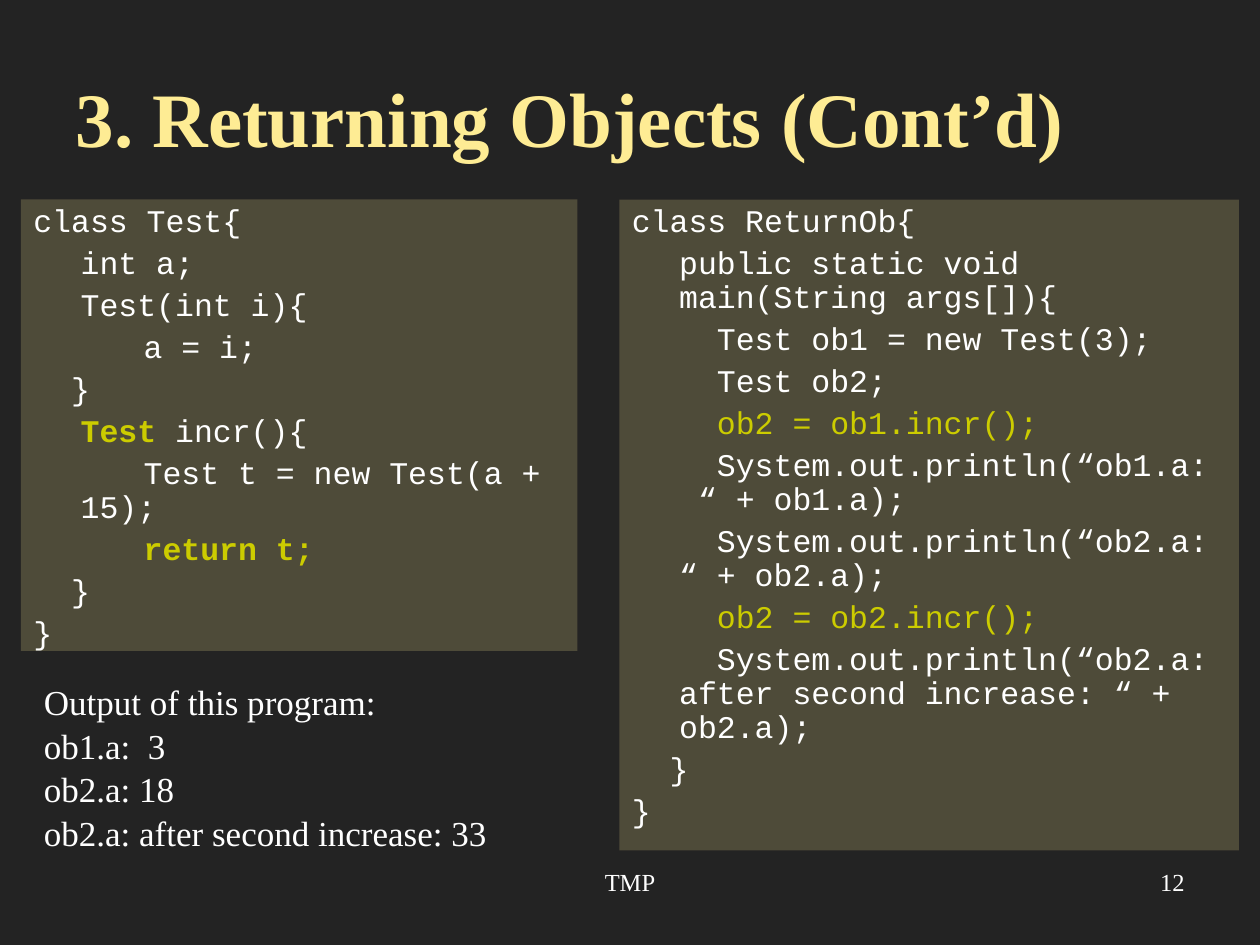
from lxml import etree
from pptx import Presentation
from pptx import util as u
from pptx.dml.color import RGBColor
from pptx.enum import shapes, text
from pptx.oxml import ns

Pt = u.Pt
BACKGROUND, CREAM, WHITE, HIGHLIGHT = "232323", "FEEC94", "FFFFFF", "CCCC00"
SERIF, MONO = "Times New Roman", "Courier New"

# In each code line, the part between bars is highlighted
TEST_CLASS = [
    "class Test{",
    "\tint a;",
    "\tTest(int i){",
    "\t\ta = i;",
    "  }",
    "\t|Test| incr(){",
    "\t\tTest t = new Test(a + 15);",
    "\t\t|return t;|",
    "  }",
    "}",
]
RETURN_CLASS = [
    "class ReturnOb{",
    "\tpublic static void main(String args[]){",
    "\t  Test ob1 = new Test(3);",
    "\t  Test ob2;",
    "\t  |ob2 = ob1.incr();|",
    "\t  System.out.println(“ob1.a:  “ + ob1.a);",
    "\t  System.out.println(“ob2.a: “ + ob2.a);",
    "\t  |ob2 = ob2.incr();|",
    "\t  System.out.println(“ob2.a: after second increase: “ + ob2.a);",
    "  }",
    "}",
]
OUTPUT = [
    "Output of this program:",
    "ob1.a:  3",
    "ob2.a: 18",
    "ob2.a: after second increase: 33",
]


def color(value):
    return RGBColor.from_string(value)


def add_text(paragraph, words, font=SERIF, size=18, fill=WHITE, bold=False,
             align=text.PP_ALIGN.LEFT):
    paragraph.alignment = align
    run = paragraph.add_run()
    run.text = words
    run.font.name = font
    run.font.size = Pt(size)
    run.font.bold = bold
    run.font.color.rgb = color(fill)


def paragraphs(frame, lines):
    """Yield one paragraph of the frame for each line, with the line."""
    for index, line in enumerate(lines):
        yield (frame.add_paragraph() if index else frame.paragraphs[0]), line


def set_tabs(paragraph, indent):
    """Hanging indent with a tab stop at every inch."""
    properties = paragraph._p.get_or_add_pPr()
    properties.set("marL", str(Pt(indent)))
    properties.set("indent", str(-Pt(indent)))
    tabs = etree.SubElement(properties, ns.qn("a:tabLst"))
    for stop in range(8):
        etree.SubElement(tabs, ns.qn("a:tab"), pos=str(Pt(72 * stop)), algn="l")


def add_title(slide, box, words):
    title = slide.shapes.title
    title.left, title.top, title.width, title.height = map(Pt, box)
    frame = title.text_frame
    frame.auto_size = text.MSO_AUTO_SIZE.NONE
    frame.vertical_anchor = text.MSO_ANCHOR.MIDDLE
    add_text(frame.paragraphs[0], words, size=44, fill=CREAM, bold=True)


def add_code_panel(slide, box, lines, bold_highlight=False):
    panel = slide.shapes.add_shape(shapes.MSO_SHAPE.RECTANGLE, *map(Pt, box))
    panel.shadow.inherit = False
    panel.line.fill.background()
    panel.fill.solid()
    panel.fill.fore_color.rgb = color(CREAM)
    fill = panel._element.spPr.find(".//" + ns.qn("a:srgbClr"))
    etree.SubElement(fill, ns.qn("a:alpha"), val="20000")
    frame = panel.text_frame
    frame.word_wrap = True
    frame.vertical_anchor = text.MSO_ANCHOR.TOP
    for paragraph, line in paragraphs(frame, lines):
        set_tabs(paragraph, 27)
        paragraph.line_spacing = 0.9
        paragraph.space_before = Pt(4.5 if line != lines[0] else 0)
        for index, part in enumerate(line.split("|")):
            marked = index % 2 == 1
            if part:
                add_text(paragraph, part, font=MONO,
                         fill=HIGHLIGHT if marked else WHITE,
                         bold=marked and bold_highlight)


def add_text_box(slide, box):
    frame = slide.shapes.add_textbox(*map(Pt, box)).text_frame
    frame.word_wrap = True
    return frame


def add_output(slide, box, lines):
    frame = add_text_box(slide, box)
    for paragraph, line in paragraphs(frame, lines):
        first = line == lines[0]
        paragraph.line_spacing = 0.8 if first else 1.0
        paragraph.space_before = Pt(0 if first else 1)
        add_text(paragraph, line, size=20)


def add_footer(slide, box, words, align):
    frame = add_text_box(slide, box)
    add_text(frame.paragraphs[0], words, size=14, align=align)


def main():
    presentation = Presentation()
    presentation.slide_width, presentation.slide_height = Pt(720), Pt(540)
    slide = presentation.slides.add_slide(presentation.slide_layouts[5])
    slide.background.fill.solid()
    slide.background.fill.fore_color.rgb = color(BACKGROUND)

    # Title
    add_title(slide, (36, 21.6, 648, 90), "3. Returning Objects (Cont’d)")
    # Code side by side
    add_code_panel(slide, (12, 114, 318, 258), TEST_CLASS, bold_highlight=True)
    add_code_panel(slide, (354, 114, 354, 372), RETURN_CLASS)
    # Program output
    add_output(slide, (18, 390, 408, 98.6), OUTPUT)
    # Footer and slide number
    add_footer(slide, (246, 492, 228, 36), "TMP", text.PP_ALIGN.CENTER)
    add_footer(slide, (516, 492, 168, 36), "12", text.PP_ALIGN.RIGHT)

    presentation.save("out.pptx")


if __name__ == "__main__":
    main()
